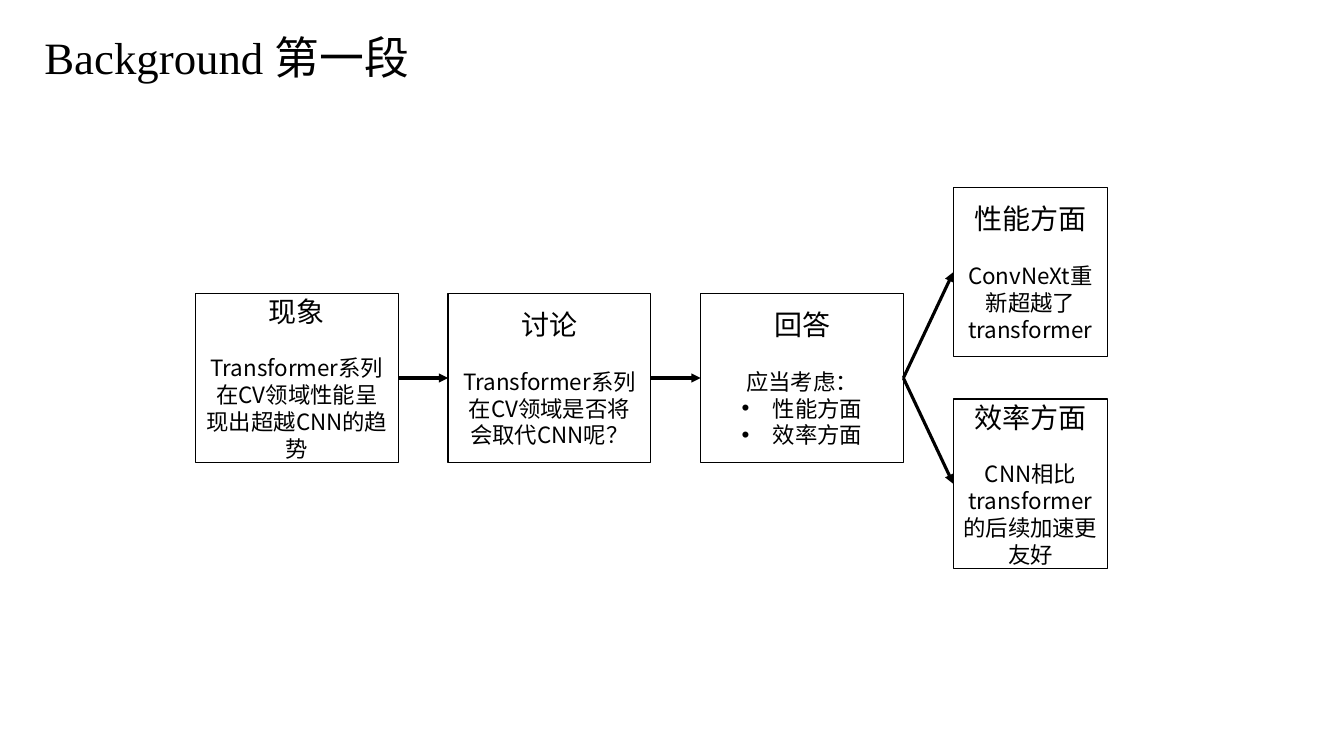
"""Builds the Background slide: a reasoning chain that branches into two aspects."""
from dataclasses import dataclass

from lxml.etree import SubElement
from pptx import Presentation
from pptx.dml.color import RGBColor
from pptx.enum.shapes import MSO_CONNECTOR, MSO_SHAPE
from pptx.enum.text import MSO_ANCHOR, PP_ALIGN
from pptx.oxml.ns import qn
from pptx.util import Inches, Pt


@dataclass(frozen=True)
class Theme:
    ink: RGBColor = RGBColor(0, 0, 0)
    paper: RGBColor = RGBColor(255, 255, 255)
    title_font: str = "Times New Roman"
    body_font: str = "Noto Sans CJK SC"
    title_size: Pt = Pt(32)
    heading_size: Pt = Pt(20)
    body_size: Pt = Pt(16)
    heading_gap: Pt = Pt(19)
    border: Pt = Pt(1)
    arrow: Pt = Pt(2.25)


theme = Theme()


def add_run(paragraph, text, size, font):
    run = paragraph.add_run()
    run.text = text
    run.font.size = size
    run.font.name = font
    run.font.color.rgb = theme.ink
    SubElement(run._r.get_or_add_rPr(), qn("a:ea"), typeface=theme.body_font)


def add_stage(left, top, width, heading, body, bullets=()):
    stage = slide.shapes.add_shape(
        MSO_SHAPE.RECTANGLE, Inches(left), Inches(top), Inches(width), Inches(1.68))
    stage.shadow.inherit = False
    stage.fill.solid()
    stage.fill.fore_color.rgb = theme.paper
    stage.line.color.rgb = theme.ink
    stage.line.width = theme.border
    frame = stage.text_frame
    frame.word_wrap = True
    frame.vertical_anchor = MSO_ANCHOR.MIDDLE
    heading_line = frame.paragraphs[0]
    heading_line.alignment = PP_ALIGN.CENTER
    heading_line.space_after = theme.heading_gap
    add_run(heading_line, heading, theme.heading_size, theme.body_font)
    for text in (body, *bullets):
        line = frame.add_paragraph()
        line.alignment = PP_ALIGN.CENTER
        add_run(line, text, theme.body_size, theme.body_font)
        if text in bullets:
            properties = line._p.get_or_add_pPr()
            properties.set("marL", str(Inches(0.31)))
            properties.set("indent", str(-Inches(0.31)))
            SubElement(properties, qn("a:buFont"), typeface="Arial")
            SubElement(properties, qn("a:buChar"), char="•")
    return stage


deck = Presentation()
deck.slide_width, deck.slide_height = Inches(13.33), Inches(7.5)
slide = deck.slides.add_slide(deck.slide_layouts[5])

title = slide.shapes.title
title.left, title.top = Inches(0.34), Inches(0.24)
title.width, title.height = Inches(3.86), Inches(0.64)
title.text_frame.word_wrap = True
title.text_frame.vertical_anchor = MSO_ANCHOR.TOP
title_line = title.text_frame.paragraphs[0]
title_line.alignment = PP_ALIGN.LEFT
add_run(title_line, "Background 第一段", theme.title_size, theme.title_font)

chain_left, chain_top, step = 1.94, 2.91, 2.505
chain_texts = [
    ("现象", "Transformer系列在CV领域性能呈现出超越CNN的趋势"),
    ("讨论", "Transformer系列在CV领域是否将会取代CNN呢？"),
    ("回答", "应当考虑：", ("性能方面", "效率方面")),
]
chain = [add_stage(chain_left + column * step, chain_top, 2.01, *texts)
         for column, texts in enumerate(chain_texts)]

aspect_texts = [
    ("性能方面", "ConvNeXt重新超越了transformer"),
    ("效率方面", "CNN相比transformer的后续加速更友好"),
]
aspects = [add_stage(chain_left + 3 * step, chain_top + offset, 1.53, *texts)
           for offset, texts in zip((-1.05, 1.05), aspect_texts)]

phenomenon, discussion, answer = chain
right_side, left_side = 3, 1
links = [(phenomenon, discussion), (discussion, answer)]
links += [(answer, aspect) for aspect in aspects]
for source, target in links:
    arrow = slide.shapes.add_connector(MSO_CONNECTOR.STRAIGHT, 0, 0, 0, 0)
    arrow.begin_connect(source, right_side)
    arrow.end_connect(target, left_side)
    arrow.line.color.rgb = theme.ink
    arrow.line.width = theme.arrow
    SubElement(arrow.line._get_or_add_ln(), qn("a:tailEnd"), type="triangle")
    SubElement(arrow._element.spPr, qn("a:effectLst"))

deck.save("out.pptx")
